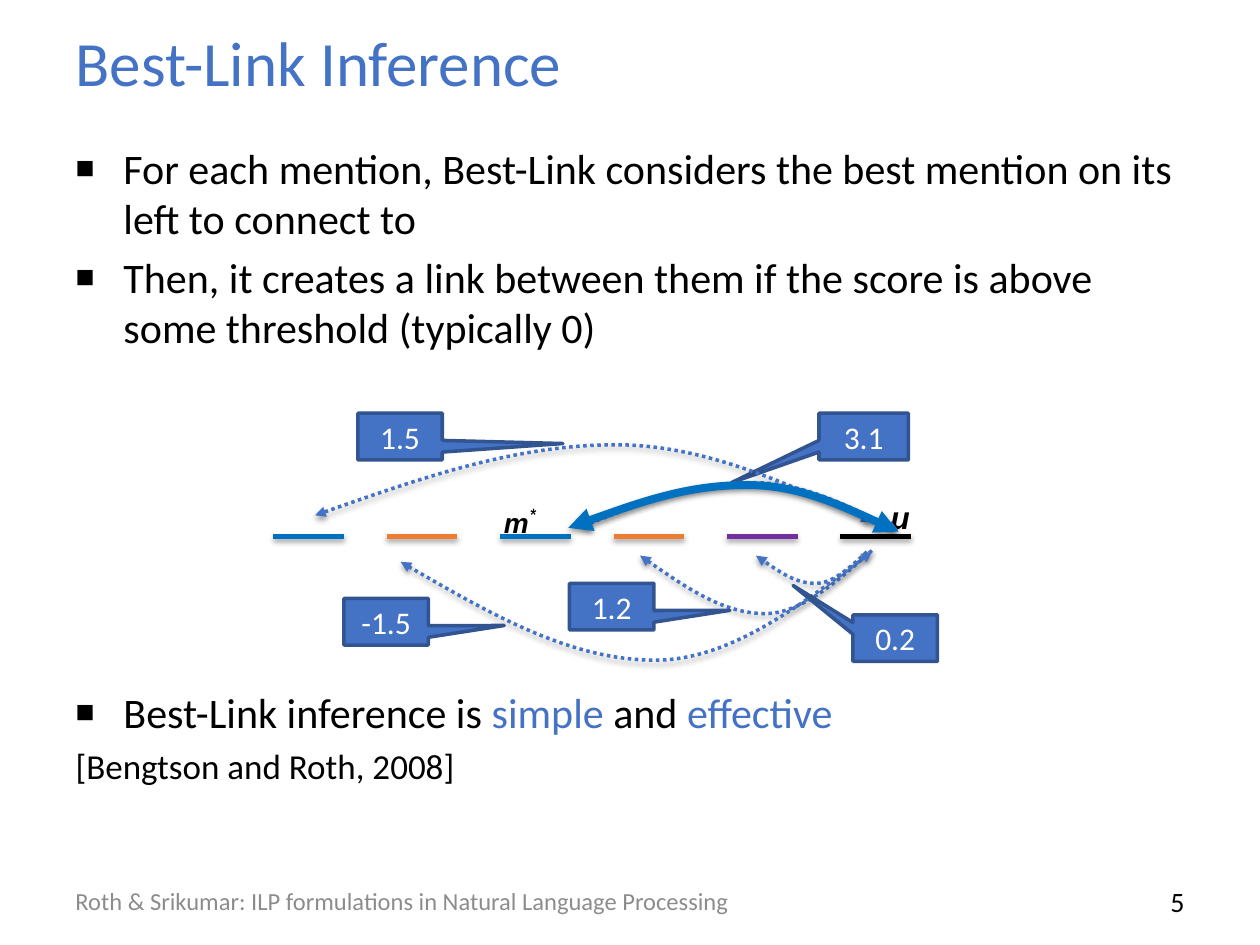
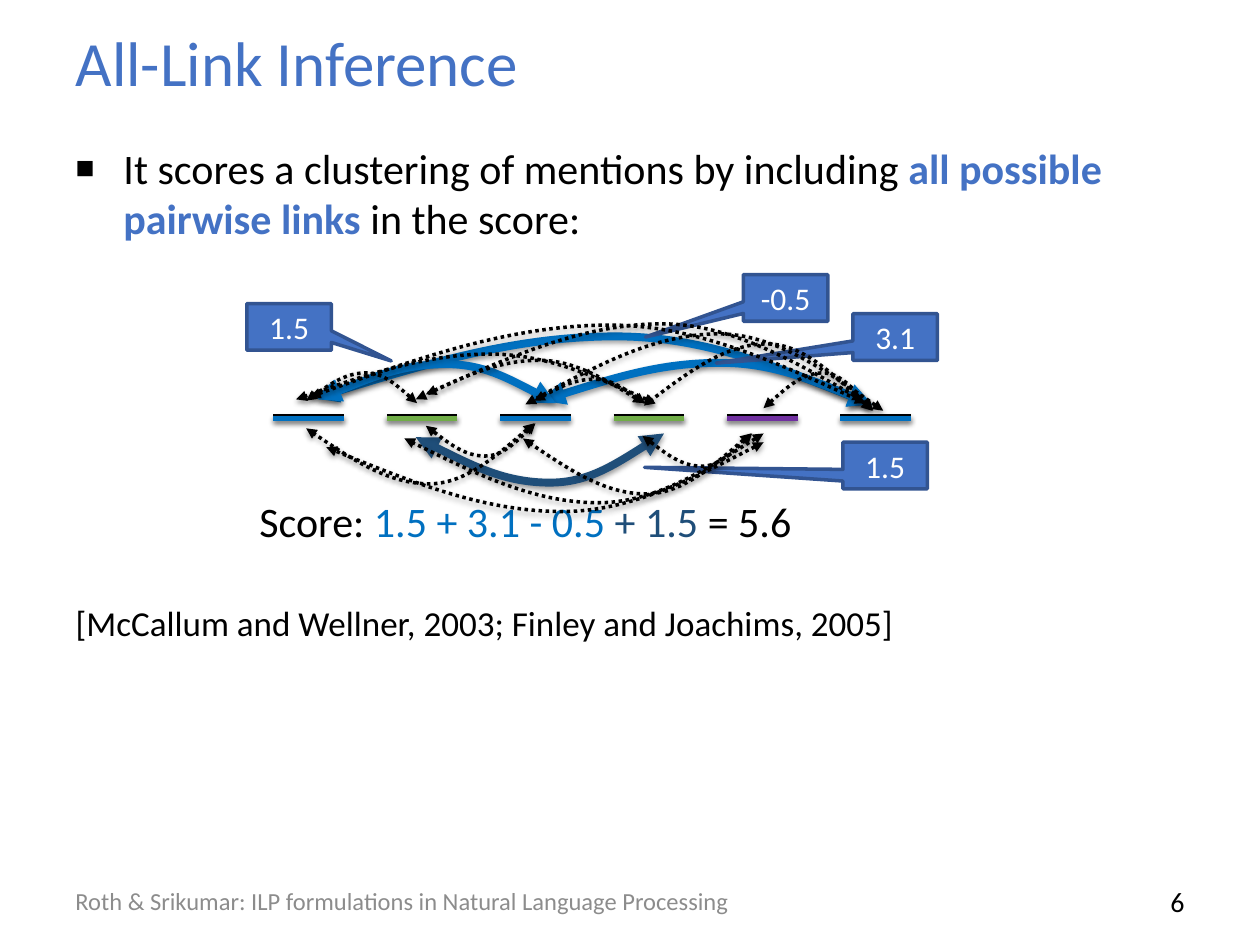
"""Builds two slides on Best-Link and All-Link inference for coreference."""
from dataclasses import dataclass
from typing import NamedTuple, Optional

from lxml.etree import SubElement
from pptx import Presentation
from pptx.dml.color import RGBColor
from pptx.enum.dml import MSO_LINE
from pptx.enum.shapes import MSO_CONNECTOR, MSO_SHAPE
from pptx.enum.text import MSO_ANCHOR, MSO_AUTO_SIZE, PP_ALIGN
from pptx.oxml.ns import qn
from pptx.util import Inches, Pt


@dataclass(frozen=True)
class Theme:
    font: str = "Calibri"
    symbol_font: str = "Arial"
    star_font: str = "Karla"
    accent: str = "4472C4"
    edge: str = "325491"
    blue: str = "0070C0"
    navy: str = "1F4E79"
    orange: str = "ED7D31"
    green: str = "70AD47"
    purple: str = "7030A0"
    black: str = "000000"
    white: str = "FFFFFF"
    grey: str = "8C8C8C"
    title: int = 36
    body: int = 24
    citation: int = 20
    label: int = 18
    number: int = 16
    footer: int = 14


THEME = Theme()
FOOTER = "Roth & Srikumar: ILP formulations in Natural Language Processing"
MARGIN, CONTENT_WIDTH = 0.5, 9
MENTION_LEFT, MENTION_PITCH, MENTION_WIDTH = 2.17, 0.9, 0.56
CALLOUT_HEIGHT = 0.37


class Span(NamedTuple):
    text: str
    color: str = THEME.black
    size: float = THEME.body
    bold: bool = False
    italic: bool = False
    font: str = THEME.font
    raised: bool = False


class Item(NamedTuple):
    spans: list[Span]
    bulleted: bool = True
    space: float = 4.8


class Area(NamedTuple):
    left: float
    top: float
    width: float
    height: float


class Stroke(NamedTuple):
    color: str
    weight: float
    dotted: bool = False
    both_ends: bool = True


class Arc(NamedTuple):
    start: tuple[float, float]
    end: tuple[float, float]
    apex: float


class Callout(NamedTuple):
    text: str
    left: float
    top: float
    tip: tuple[float, float]
    width: float = 0.67


DOTTED = Stroke(THEME.accent, 2, True)
ONE_WAY = Stroke(THEME.accent, 2, True, False)
CANDIDATE = Stroke(THEME.black, 2, True)
CHOSEN = Stroke(THEME.blue, 4.5)
CHOSEN_BELOW = Stroke(THEME.navy, 4.5)


def write_spans(para, spans: list[Span]) -> None:
    """Fill a paragraph with formatted spans."""
    for span in spans:
        run = para.add_run()
        run.text = span.text
        run.font.name = span.font
        run.font.size = Pt(span.size)
        run.font.bold = span.bold
        run.font.italic = span.italic
        run.font.color.rgb = RGBColor.from_string(span.color)
        if span.raised:
            run.font._element.set("baseline", "30000")


def place(shape, area: Area) -> None:
    """Move a shape to an area given in inches."""
    shape.left, shape.top, shape.width, shape.height = map(Inches, area)


def add_text(page, area: Area, spans: list[Span], align=PP_ALIGN.LEFT,
             anchor=MSO_ANCHOR.TOP, wrap: bool = True) -> None:
    """Add a text box holding one paragraph."""
    frame = page.shapes.add_textbox(*map(Inches, area)).text_frame
    frame.word_wrap = wrap
    frame.vertical_anchor = anchor
    frame.paragraphs[0].alignment = align
    write_spans(frame.paragraphs[0], spans)


def format_bullet(para, bulleted: bool) -> None:
    """Give a paragraph a square bullet with a hanging indent, or none."""
    properties = para._p.get_or_add_pPr()
    indent = Inches(0.38) if bulleted else 0
    properties.set("marL", str(indent))
    properties.set("indent", str(-indent))
    if not bulleted:
        SubElement(properties, qn("a:buNone"))
        return
    color = SubElement(properties, qn("a:buClr"))
    SubElement(color, qn("a:srgbClr"), val=THEME.black)
    SubElement(properties, qn("a:buSzPct"), val="75000")
    SubElement(properties, qn("a:buFont"), typeface=THEME.symbol_font)
    SubElement(properties, qn("a:buChar"), char="■")


def add_page(deck, title: str, number: int, items: list[Item]):
    """Add a page with its title, list, footer and page number."""
    page = deck.slides.add_slide(deck.slide_layouts[1])
    heading, body = page.placeholders
    place(heading, Area(MARGIN, 0.15, CONTENT_WIDTH, 0.68))
    heading.text_frame.vertical_anchor = MSO_ANCHOR.MIDDLE
    heading.text_frame.auto_size = MSO_AUTO_SIZE.NONE
    heading.text_frame.paragraphs[0].alignment = PP_ALIGN.LEFT
    write_spans(heading.text_frame.paragraphs[0], [Span(title, THEME.accent, THEME.title)])
    add_text(page, Area(7.17, 6.95, 2.33, 0.4),
             [Span(str(number), size=THEME.number)], PP_ALIGN.RIGHT, MSO_ANCHOR.MIDDLE)
    add_text(page, Area(MARGIN, 6.95, 6.08, 0.4),
             [Span(FOOTER, THEME.grey, THEME.footer)], anchor=MSO_ANCHOR.MIDDLE)
    place(body, Area(MARGIN, 1.08, CONTENT_WIDTH, 5.62))
    frame = body.text_frame
    frame.auto_size = MSO_AUTO_SIZE.NONE
    for index, item in enumerate(items):
        para = frame.add_paragraph() if index else frame.paragraphs[0]
        para.space_before = Pt(item.space)
        format_bullet(para, item.bulleted)
        write_spans(para, item.spans)
    return page


def add_shadow(shape, distance: float, opacity: int) -> None:
    """Cast a soft shadow straight down."""
    effects = SubElement(shape._element.spPr, qn("a:effectLst"))
    shadow = SubElement(effects, qn("a:outerShdw"), blurRad=str(Pt(3.1)),
                        dist=str(Pt(distance)), dir="5400000", rotWithShape="0")
    color = SubElement(shadow, qn("a:srgbClr"), val=THEME.black)
    SubElement(color, qn("a:alpha"), val=str(opacity * 1000))


def add_mentions(page, top: float, colors: list[str]) -> None:
    """Draw the row of mentions as evenly spaced dashes."""
    for column, color in enumerate(colors):
        left = MENTION_LEFT + column * MENTION_PITCH
        dash = page.shapes.add_connector(
            MSO_CONNECTOR.STRAIGHT, Inches(left), Inches(top),
            Inches(left + MENTION_WIDTH), Inches(top))
        dash.line.color.rgb = RGBColor.from_string(color)
        dash.line.width = Pt(3)
        add_shadow(dash, 1.8, 35)


def add_arc(page, arc: Arc, stroke: Stroke) -> None:
    """Draw a smooth link of two cubic curves that meet at the apex."""
    (x1, y1), (x2, y2) = arc.start, arc.end
    middle = x1 + 0.46 * (x2 - x1)
    points = [
        (x1 + (middle - x1) / 3, (y1 + arc.apex) / 2),
        (x1 + (middle - x1) * 2 / 3, arc.apex),
        (middle, arc.apex),
        (middle + (x2 - middle) / 3, arc.apex),
        (middle + (x2 - middle) * 2 / 3, (y2 + arc.apex) / 2),
        (x2, y2),
    ]
    builder = page.shapes.build_freeform(Inches(x1), Inches(y1))
    builder.add_line_segments([(Inches(x), Inches(y)) for x, y in points], close=False)
    link = builder.convert_to_shape()
    segments = list(link._element.iter(qn("a:lnTo")))
    outline = segments[0].getparent()
    for first in range(0, len(segments), 3):
        curve = SubElement(outline, qn("a:cubicBezTo"))
        for segment in segments[first:first + 3]:
            curve.append(segment[0])
            outline.remove(segment)
    link.fill.background()
    link.line.color.rgb = RGBColor.from_string(stroke.color)
    link.line.width = Pt(stroke.weight)
    if stroke.dotted:
        link.line.dash_style = MSO_LINE.ROUND_DOT
    line = link.line._get_or_add_ln()
    if stroke.both_ends:
        SubElement(line, qn("a:headEnd"), type="triangle")
    SubElement(line, qn("a:tailEnd"), type="triangle")
    add_shadow(link, 1.6, 38)


def add_callout(page, callout: Callout) -> None:
    """Draw a score in a callout whose tip is relative to its size."""
    area = Area(callout.left, callout.top, callout.width, CALLOUT_HEIGHT)
    box = page.shapes.add_shape(MSO_SHAPE.RECTANGULAR_CALLOUT, *map(Inches, area))
    box.adjustments[0], box.adjustments[1] = callout.tip
    box.shadow.inherit = False
    box.fill.solid()
    box.fill.fore_color.rgb = RGBColor.from_string(THEME.accent)
    box.line.color.rgb = RGBColor.from_string(THEME.edge)
    box.line.width = Pt(2)
    frame = box.text_frame
    frame.vertical_anchor = MSO_ANCHOR.MIDDLE
    frame.paragraphs[0].alignment = PP_ALIGN.CENTER
    write_spans(frame.paragraphs[0], [Span(callout.text, THEME.white, THEME.label)])


def citation(text: str, space: float = 4) -> Item:
    """Return a list item for a literature reference."""
    return Item([Span(text, size=THEME.citation)], False, space)


def build_best_link(deck) -> None:
    """Build the page where each mention links to its best antecedent."""
    page = add_page(deck, "Best-Link Inference", 5, [
        Item([Span("For each mention, Best-Link considers the best mention on its "
                   "left to connect to")]),
        Item([Span("Then, it creates a link between them if the score is above "
                   "some threshold (typically 0)")]),
        Item([Span("Best-Link inference is "), Span("simple", THEME.accent),
              Span(" and "), Span("effective", THEME.accent)], space=191),
        citation("[Bengtson and Roth, 2008]"),
    ])
    add_callout(page, Callout("3.1", 6.5, 3.28, (-1.48, 0.99), 0.71))
    add_mentions(page, 4.26, [THEME.blue, THEME.orange, THEME.blue,
                              THEME.orange, THEME.purple, THEME.black])
    links: list[tuple[Arc, Stroke]] = [
        (Arc((6.88, 4.38), (6, 4.41), 4.63), ONE_WAY),
        (Arc((6.92, 4.37), (5.08, 4.41), 4.87), ONE_WAY),
        (Arc((6.92, 4.38), (3.18, 4.46), 5.24), DOTTED),
        (Arc((6.92, 4.14), (2.5, 4.09), 3.53), DOTTED),
    ]
    for arc, stroke in links:
        add_arc(page, arc, stroke)
    for callout in [
        Callout("1.5", 2.84, 3.28, (1.93, 0.15)),
        Callout("-1.5", 2.73, 4.75, (1.4, 0.08)),
        Callout("1.2", 4.52, 4.63, (1.4, 0.08)),
        Callout("0.2", 6.77, 4.88, (-1.21, -1.13)),
    ]:
        add_callout(page, callout)
    symbol = Span("u", size=THEME.label, bold=True, italic=True, font=THEME.symbol_font)
    add_text(page, Area(6.97, 3.9, 0.34, 0.4), [symbol], wrap=False)
    add_text(page, Area(3.9, 3.91, 0.55, 0.37), [
        symbol._replace(text="m", size=THEME.number),
        symbol._replace(text="*", size=THEME.citation, font=THEME.star_font, raised=True)])
    add_arc(page, Arc((7.13, 4.21), (4.61, 4.18), 3.83), DOTTED)
    add_arc(page, Arc((7.13, 4.22), (4.51, 4.19), 3.85), CHOSEN)


def build_all_link(deck) -> None:
    """Build the page where every pair inside a cluster is scored."""
    page = add_page(deck, "All-Link Inference", 6, [
        Item([Span("It scores a clustering of mentions by including "),
              Span("all possible pairwise links ", THEME.accent, bold=True),
              Span("in the score:")]),
        citation("[McCallum and Wellner, 2003; Finley and Joachims, 2005]", 205),
    ])
    add_arc(page, Arc((5.27, 3.44), (3.3, 3.47), 3.83), CHOSEN_BELOW)
    for arc in [Arc((6.92, 3.21), (2.5, 3.16), 2.67),
                Arc((6.92, 3.21), (4.3, 3.18), 2.88),
                Arc((4.41, 3.2), (2.52, 3.17), 2.89)]:
        add_arc(page, arc, CHOSEN)
    for callout in [
        Callout("1.5", 1.96, 2.41, (1.21, 0.73)),
        Callout("3.1", 6.77, 2.49, (-2.12, 0.56)),
        Callout("-0.5", 5.9, 2.18, (-1.66, 0.84)),
        Callout("1.5", 6.69, 3.51, (-2.85, 0.04)),
    ]:
        add_callout(page, callout)
    add_text(page, Area(1.96, 3.88, 4.72, 0.5), [
        Span("Score: "), Span("1.5 + 3.1 - 0.5 ", THEME.blue),
        Span("+ 1.5 ", THEME.navy), Span("= 5.6")])
    for arc in [
        Arc((6.87, 3.2), (2.46, 3.15), 2.58), Arc((6.85, 3.18), (3.38, 3.13), 2.57),
        Arc((7.01, 3.26), (4.17, 3.21), 2.65), Arc((6.92, 3.26), (5.11, 3.22), 2.73),
        Arc((6.93, 3.26), (6.06, 3.24), 2.96), Arc((6.06, 3.51), (2.59, 3.55), 4.06),
        Arc((6.06, 3.44), (3.21, 3.48), 3.99), Arc((5.96, 3.44), (4.15, 3.48), 3.92),
        Arc((5.97, 3.44), (5.1, 3.46), 3.7), Arc((5.2, 3.2), (2.35, 3.17), 2.81),
        Arc((5.11, 3.2), (3.3, 3.17), 2.86), Arc((5.12, 3.2), (4.24, 3.18), 3.01),
        Arc((4.24, 3.36), (2.43, 3.4), 3.84), Arc((4.25, 3.36), (3.38, 3.38), 3.62),
        Arc((3.31, 3.2), (2.43, 3.18), 2.96),
    ]:
        add_arc(page, arc, CANDIDATE)
    add_mentions(page, 3.31, [THEME.black] * 6)
    add_mentions(page, 3.32, [THEME.blue, THEME.green, THEME.blue,
                              THEME.green, THEME.purple, THEME.blue])


def main() -> None:
    """Build and save the deck."""
    deck = Presentation()
    deck.slide_width, deck.slide_height = Inches(10), Inches(7.5)
    build_best_link(deck)
    build_all_link(deck)
    deck.save("out.pptx")


if __name__ == "__main__":
    main()
